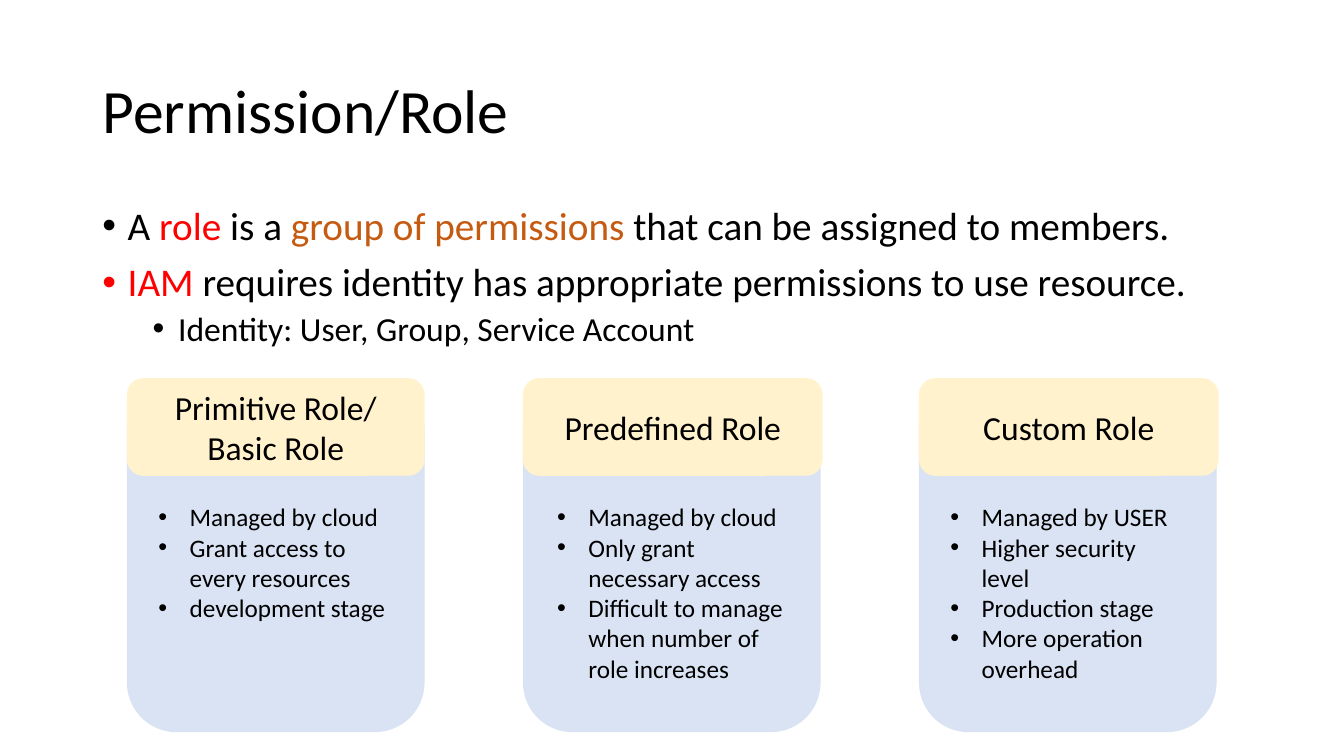
import dataclasses

import lxml.etree
import pptx
import pptx.dml.color
import pptx.enum.shapes
import pptx.enum.text
import pptx.oxml.ns
import pptx.util
from pptx.util import Cm


@dataclasses.dataclass(frozen=True)
class Theme:
    font: str = "Calibri"
    black: str = "000000"
    red: str = "FF0000"
    orange: str = "C55A11"
    card: str = "DAE3F3"
    header: str = "FFF2CC"
    title_size: int = 44
    body_size: int = 28
    sub_size: int = 24
    card_size: int = 18


theme = Theme()


def style_paragraph(paragraph, runs, size, indent=None, hanging=None):
    """Fill a paragraph with (text, colour) runs and an optional bullet."""
    paragraph.font.name = theme.font
    paragraph.font.size = pptx.util.Pt(size)
    paragraph.font.color.rgb = pptx.dml.color.RGBColor.from_string(theme.black)
    for text, color in runs:
        run = paragraph.add_run()
        run.text = text
        run.font.color.rgb = pptx.dml.color.RGBColor.from_string(color)
    if indent is not None:
        properties = paragraph._p.get_or_add_pPr()
        properties.set("marL", str(indent))
        properties.set("indent", str(-hanging))
        bullet_font = lxml.etree.Element(pptx.oxml.ns.qn("a:buFont"), typeface="Arial")
        bullet = lxml.etree.Element(pptx.oxml.ns.qn("a:buChar"), char="•")
        # Bullets come before the default run properties
        properties.find(pptx.oxml.ns.qn("a:defRPr")).addprevious(bullet_font)
        bullet_font.addnext(bullet)


def add_panel(slide, left, top, width, height, color):
    """Add a plain rounded panel without outline or shadow."""
    panel = slide.shapes.add_shape(
        pptx.enum.shapes.MSO_SHAPE.ROUNDED_RECTANGLE, left, top, width, height)
    panel.shadow.inherit = False
    panel.fill.solid()
    panel.fill.fore_color.rgb = pptx.dml.color.RGBColor.from_string(color)
    panel.line.fill.background()
    return panel


presentation = pptx.Presentation()
presentation.slide_width = Cm(33.87)
presentation.slide_height = Cm(19.05)
slide = presentation.slides.add_slide(presentation.slide_layouts[5])

# Title
title = slide.shapes.title
title.left, title.top, title.width, title.height = Cm(2.33), Cm(1.01), Cm(29.21), Cm(3.68)
title.text_frame.vertical_anchor = pptx.enum.text.MSO_ANCHOR.MIDDLE
paragraph = title.text_frame.paragraphs[0]
paragraph.alignment = pptx.enum.text.PP_ALIGN.LEFT
paragraph.line_spacing = 0.9
style_paragraph(paragraph, [("Permission/Role", theme.black)], theme.title_size)

# Definition of a role
definition = [
    ([("A ", theme.black), ("role", theme.red), (" is a ", theme.black),
      ("group of permissions ", theme.orange),
      ("that can be assigned to members.", theme.black)], 0, theme.body_size, 10),
    ([("IAM", theme.red),
      (" requires identity has appropriate permissions to use resource.", theme.black)],
     0, theme.body_size, 10),
    ([("Identity: User, Group, Service Account", theme.black)], 1, theme.sub_size, 5),
]
body = slide.shapes.add_textbox(Cm(2.33), Cm(5.08), Cm(29.21), Cm(12.09)).text_frame
body.word_wrap = True
for index, (runs, level, size, space) in enumerate(definition):
    paragraph = body.add_paragraph() if index else body.paragraphs[0]
    paragraph.level = level
    paragraph.line_spacing = 0.9
    paragraph.space_before = pptx.util.Pt(space)
    style_paragraph(paragraph, runs, size, Cm(0.64 + 1.27 * level), Cm(0.64))

# Role cards: heading, header width, text inset, text width, points
cards = [
    ("Primitive Role/ Basic Role", 7.5, 0.54, 6.43,
     ["Managed by cloud", "Grant access to every resources", "development stage"]),
    ("Predefined Role", 7.55, 0.61, 6.32,
     ["Managed by cloud", "Only grant necessary access",
      "Difficult to manage when number of role increases"]),
    ("Custom Role", 7.55, 0.54, 6.22,
     ["Managed by USER", "Higher security level", "Production stage",
      "More operation overhead"]),
]
for index, (heading, header_width, inset, text_width, points) in enumerate(cards):
    left = 3.2 + 9.98 * index
    add_panel(slide, Cm(left), Cm(9.53), Cm(7.5), Cm(8.92), theme.card)

    header = add_panel(slide, Cm(left), Cm(9.53), Cm(header_width), Cm(2.46), theme.header)
    header.text_frame.vertical_anchor = pptx.enum.text.MSO_ANCHOR.MIDDLE
    paragraph = header.text_frame.paragraphs[0]
    paragraph.alignment = pptx.enum.text.PP_ALIGN.CENTER
    style_paragraph(paragraph, [(heading, theme.black)], theme.sub_size)

    details = slide.shapes.add_textbox(
        Cm(left + inset), Cm(12.52), Cm(text_width), Cm(4.88)).text_frame
    details.word_wrap = True
    for number, point in enumerate(points):
        paragraph = details.add_paragraph() if number else details.paragraphs[0]
        style_paragraph(paragraph, [(point, theme.black)], theme.card_size, Cm(0.79), Cm(0.79))

presentation.save("out.pptx")
